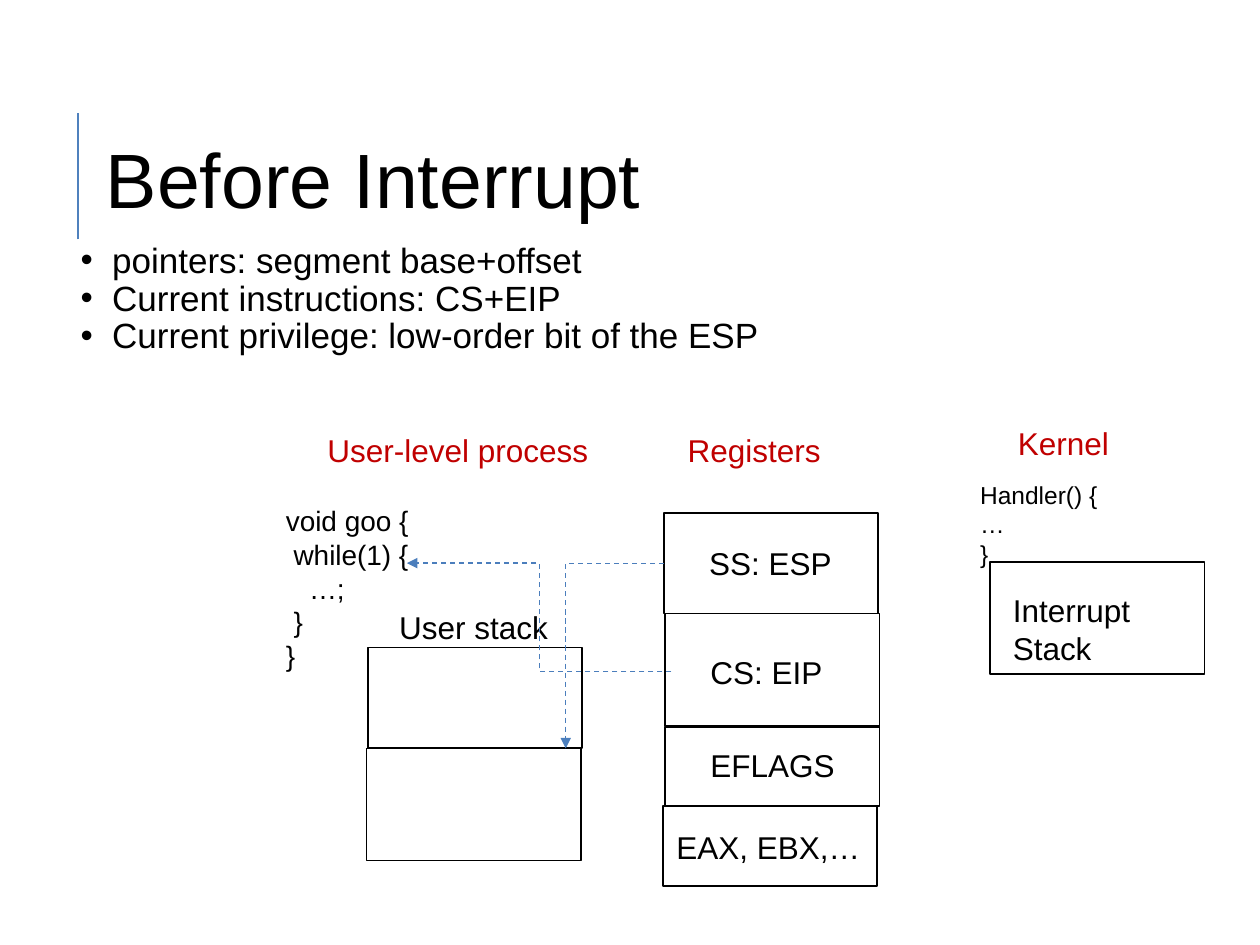
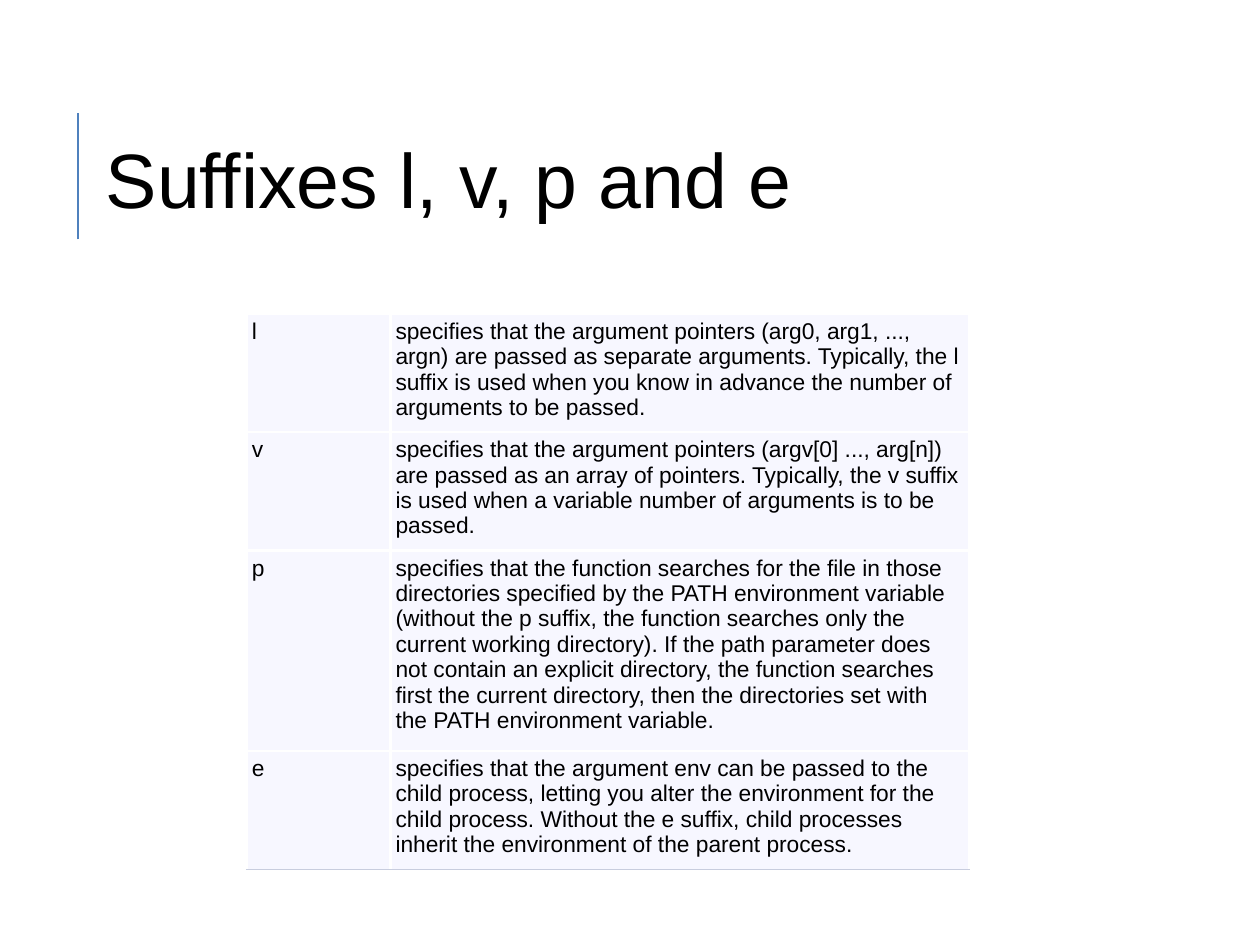
from lxml import etree
from pptx import Presentation
from pptx.dml.color import RGBColor
from pptx.enum.dml import MSO_LINE
from pptx.enum.shapes import MSO_CONNECTOR, MSO_SHAPE
from pptx.enum.text import MSO_ANCHOR, MSO_AUTO_SIZE, PP_ALIGN
from pptx.oxml.ns import qn
from pptx.util import Inches, Pt

STRAIGHT, ELBOW = MSO_CONNECTOR.STRAIGHT, MSO_CONNECTOR.ELBOW
RECT, DASH = MSO_SHAPE.RECTANGLE, MSO_LINE.DASH
LEFT, MIDDLE = PP_ALIGN.LEFT, MSO_ANCHOR.MIDDLE
GROW, FIXED = MSO_AUTO_SIZE.SHAPE_TO_FIT_TEXT, MSO_AUTO_SIZE.NONE
TITLE_ONLY = 5
FONT = "Arial"
COLORS = {"text": "000000", "heading": "C00000", "accent": "4F81BD", "arrow": "4B7EBC",
          "cell": "F7F7FF", "grid": "FFFFFF", "table_end": "C8CDDE"}

POINTERS = ["pointers: segment base+offset",
            "Current instructions: CS+EIP",
            "Current privilege: low-order bit of the ESP"]
USER_CODE = ["void goo {", " while(1) {", "   …;", " }", "}"]
HANDLER_CODE = ["Handler() {", "…", "}"]
HEADINGS = [("User-level process", 2.5, 3.37, 2.29),
            ("Registers", 5.36, 3.37, 1.27),
            ("Kernel", 7.98, 3.32, 0.93)]
BOXES = [(2.92, 5.14, 0.8), (2.91, 5.94, 0.89), (7.86, 4.46, 0.89),
         (5.27, 4.07, 0.8), (5.28, 4.87, 0.89), (5.28, 5.77, 0.63), (5.26, 6.4, 0.63)]
BOX_WIDTH = 1.7
TIGHT_LABELS = [("User stack", 3.07, 4.78, 1.39), ("SS: ESP", 5.53, 4.27, 1.18),
                ("CS: EIP", 5.54, 5.13, 1.1)]
WIDE_LABELS = [(["EFLAGS"], 5.54, 5.87, 0.4), (["EAX, EBX,…"], 5.27, 6.52, 0.4),
               (["Interrupt", "Stack"], 7.94, 4.64, 0.71)]
WIDE_LABEL_WIDTH = 1.94
SUFFIXES = [
    ("l", "specifies that the argument pointers (arg0, arg1, ..., argn) are passed as separate "
          "arguments. Typically, the l suffix is used when you know in advance the number of "
          "arguments to be passed."),
    ("v", "specifies that the argument pointers (argv[0] ..., arg[n]) are passed as an array of "
          "pointers. Typically, the v suffix is used when a variable number of arguments is to "
          "be passed."),
    ("p", "specifies that the function searches for the file in those directories specified by "
          "the PATH environment variable (without the p suffix, the function searches only the "
          "current working directory). If the path parameter does not contain an explicit "
          "directory, the function searches first the current directory, then the directories "
          "set with the PATH environment variable."),
    ("e", "specifies that the argument env can be passed to the child process, letting you alter "
          "the environment for the child process. Without the e suffix, child processes inherit "
          "the environment of the parent process."),
]
ROW_HEIGHTS = [0.94, 0.94, 1.59, 0.94]
COL_WIDTHS = [1.14, 4.59]


def rgb(name):
    """Return the named colour."""
    return RGBColor.from_string(COLORS[name])


def add_bullet(p):
    """Give a paragraph a hanging round bullet."""
    pPr = p._p.get_or_add_pPr()
    pPr.set("marL", str(Inches(0.25)))
    pPr.set("indent", str(-Inches(0.25)))
    etree.SubElement(pPr, qn("a:buFont"), typeface=FONT)
    etree.SubElement(pPr, qn("a:buChar"), char="•")


def put_text(tf, lines, size=18, color="text", spacing=None, bullets=False, inset=None):
    """Fill a text frame with one paragraph per line."""
    if inset is not None:
        tf.margin_left = tf.margin_right = tf.margin_top = tf.margin_bottom = Inches(inset)
    for i, line in enumerate(lines):
        p = tf.paragraphs[0] if i == 0 else tf.add_paragraph()
        p.alignment = LEFT
        if spacing:
            p.line_spacing = spacing
        if bullets:
            add_bullet(p)
        r = p.add_run()
        r.text = line
        r.font.name, r.font.size = FONT, Pt(size)
        r.font.color.rgb = rgb(color)


def add_text(s, lines, x, y, w, h=0.4, wrap=True, auto_size=GROW, **fmt):
    """Add a text box."""
    tf = s.shapes.add_textbox(Inches(x), Inches(y), Inches(w), Inches(h)).text_frame
    tf.word_wrap, tf.auto_size = wrap, auto_size
    put_text(tf, lines, **fmt)


def add_box(s, x, y, h):
    """Add an outlined memory or register box."""
    sp = s.shapes.add_shape(RECT, Inches(x), Inches(y), Inches(BOX_WIDTH), Inches(h))
    sp.shadow.inherit = False
    sp.fill.background()
    sp.line.color.rgb, sp.line.width = rgb("text"), Pt(1)


def add_line(s, kind, start, end, color, width):
    """Add a connector without a shadow."""
    cxn = s.shapes.add_connector(kind, *map(Inches, start + end))
    cxn.line.color.rgb, cxn.line.width = rgb(color), Pt(width)
    etree.SubElement(cxn._element.spPr, qn("a:effectLst"))
    return cxn


def add_pointer(s, start, end, preset="bentConnector3"):
    """Add a dashed elbow arrow."""
    cxn = add_line(s, ELBOW, start, end, "arrow", 0.75)
    cxn.line.dash_style = DASH
    cxn._element.spPr.find(qn("a:prstGeom")).set("prst", preset)
    etree.SubElement(cxn.line._get_or_add_ln(), qn("a:tailEnd"), type="triangle")


def add_titled_slide(prs, title):
    """Add a slide with the shared title and accent line."""
    s = prs.slides.add_slide(prs.slide_layouts[TITLE_ONLY])
    add_line(s, STRAIGHT, (0.62, 1.9), (0.62, 0.9), "accent", 1.5)
    sp = s.shapes.title
    sp.left, sp.top, sp.width, sp.height = map(Inches, (0.84, 0.64, 7.97, 1.64))
    tf = sp.text_frame
    tf.word_wrap, tf.auto_size, tf.vertical_anchor = True, FIXED, MIDDLE
    put_text(tf, [title], size=44, spacing=0.9, inset=0)
    return s


def set_border(cell, side, color, width):
    """Draw one side of a cell, before its fill is set."""
    ln = etree.SubElement(cell._tc.get_or_add_tcPr(), qn(f"a:ln{side}"), w=str(Pt(width)))
    fill = etree.SubElement(ln, qn("a:solidFill"))
    etree.SubElement(fill, qn("a:srgbClr"), val=COLORS[color])


def add_suffix_table(s, x, y):
    """Add the table that explains each suffix."""
    table = s.shapes.add_table(len(SUFFIXES), len(COL_WIDTHS), Inches(x), Inches(y),
                               Inches(sum(COL_WIDTHS)), Inches(sum(ROW_HEIGHTS))).table
    table.first_row = table.horz_banding = False
    for col, width in zip(table.columns, COL_WIDTHS):
        col.width = Inches(width)
    for i, (row, height) in enumerate(zip(table.rows, ROW_HEIGHTS)):
        row.height = Inches(height)
        for cell, text in zip(row.cells, SUFFIXES[i]):
            for side in "LRT":
                set_border(cell, side, "grid", 1.5)
            if i == len(SUFFIXES) - 1:
                set_border(cell, "B", "table_end", 0.75)
            else:
                set_border(cell, "B", "grid", 1.5)
            cell.fill.solid()
            cell.fill.fore_color.rgb = rgb("cell")
            put_text(cell.text_frame, [text], size=13)
            cell.margin_left = cell.margin_right = Inches(0.04)
            cell.margin_top = cell.margin_bottom = Inches(0.04)


def build_interrupt_slide(prs):
    """Build the diagram of the state before an interrupt."""
    s = add_titled_slide(prs, "Before Interrupt")
    add_text(s, POINTERS, 0.59, 1.88, 8.47, 1.02, auto_size=FIXED, size=20,
             spacing=0.9, bullets=True, inset=0.05)
    for box in BOXES:
        add_box(s, *box)
    for text, x, y, w in HEADINGS:
        add_text(s, [text], x, y, w, wrap=False, color="heading")
    for text, x, y, w in TIGHT_LABELS:
        add_text(s, [text], x, y, w, wrap=False)
    for lines, x, y, h in WIDE_LABELS:
        add_text(s, lines, x, y, WIDE_LABEL_WIDTH, h)
    add_text(s, USER_CODE, 2.17, 3.95, 3.38, 1.45, size=16)
    add_text(s, HANDLER_CODE, 7.68, 3.76, 1.88, 0.81, size=14)
    add_pointer(s, (5.27, 4.47), (4.49, 5.94), "bentConnector2")
    add_pointer(s, (5.33, 5.33), (3.23, 4.47))


def build_suffix_slide(prs):
    """Build the slide with the suffix table."""
    s = add_titled_slide(prs, "Suffixes l, v, p and e")
    add_suffix_table(s, 1.96, 2.49)


def main():
    """Build and save the presentation."""
    prs = Presentation()
    prs.slide_width, prs.slide_height = Inches(10), Inches(7.5)
    build_interrupt_slide(prs)
    build_suffix_slide(prs)
    prs.save("out.pptx")


if __name__ == "__main__":
    main()
